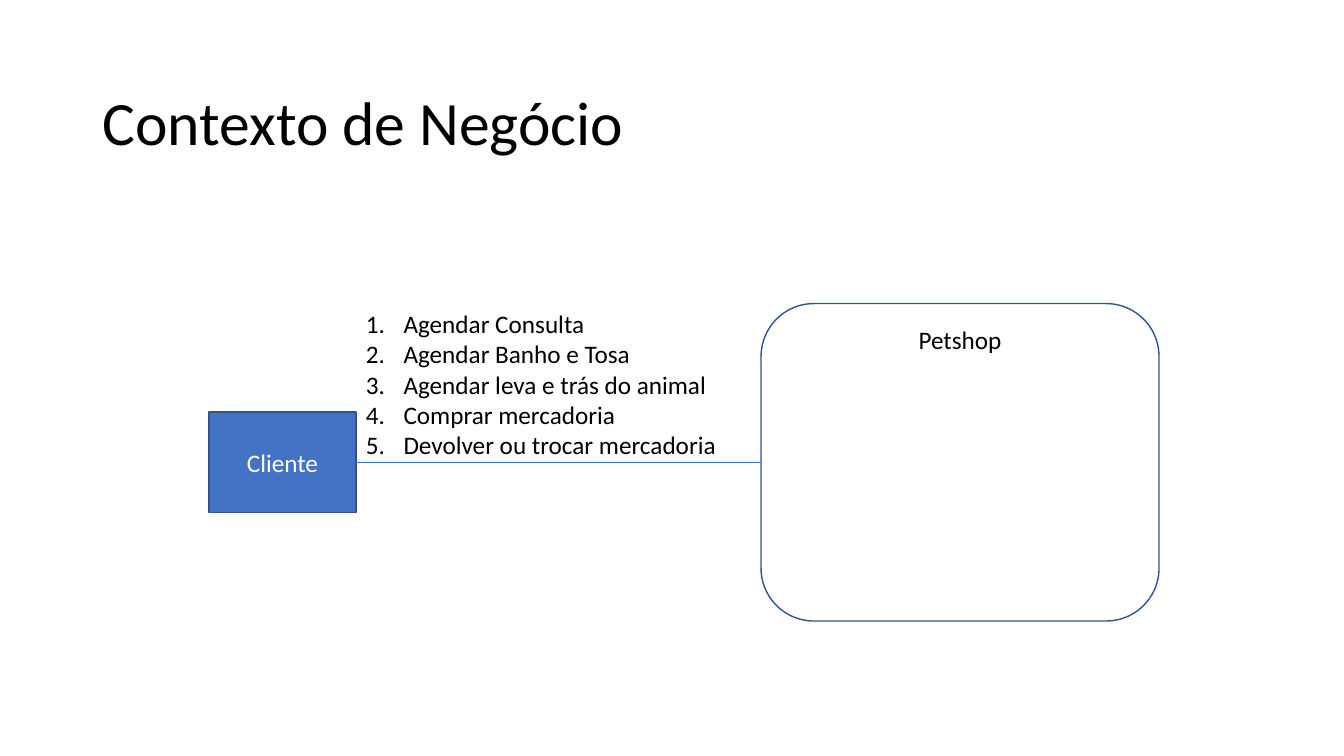
from lxml.etree import SubElement
from pptx import Presentation
from pptx.dml.color import RGBColor
from pptx.enum.shapes import MSO_CONNECTOR, MSO_SHAPE
from pptx.enum.text import MSO_ANCHOR, PP_ALIGN
from pptx.oxml.ns import qn
from pptx.util import Cm, Pt

COLORS = {
    "text": "000000",
    "light": "FFFFFF",
    "accent": "4472C4",
    "outline": "31538F",
}
SERVICES = [
    "Agendar Consulta",
    "Agendar Banho e Tosa",
    "Agendar leva e trás do animal",
    "Comprar mercadoria",
    "Devolver ou trocar mercadoria",
]


class ContextDiagram:
    font_name = "Calibri"
    body_size = 18
    title_size = 44
    number_indent = Cm(0.95)

    def __init__(self, slide):
        self.slide = slide

    def color(self, name):
        return RGBColor.from_string(COLORS[name])

    def format_text(self, paragraph, size, color="text"):
        for run in paragraph.runs:
            run.font.name = self.font_name
            run.font.size = Pt(size)
            run.font.color.rgb = self.color(color)

    def text_box(self, left, top, width, height, text, size, anchor=MSO_ANCHOR.TOP):
        box = self.slide.shapes.add_textbox(Cm(left), Cm(top), Cm(width), Cm(height))
        frame = box.text_frame
        frame.word_wrap = True
        frame.vertical_anchor = anchor
        frame.text = text
        for paragraph in frame.paragraphs:
            self.format_text(paragraph, size)
        return frame

    def title(self, left, top, width, height, text):
        frame = self.text_box(left, top, width, height, text, self.title_size, MSO_ANCHOR.MIDDLE)
        frame.paragraphs[0].line_spacing = 0.9

    def numbered_list(self, left, top, width, height, items):
        frame = self.text_box(left, top, width, height, "\n".join(items), self.body_size)
        for paragraph in frame.paragraphs:
            properties = paragraph._p.get_or_add_pPr()
            properties.set("marL", str(self.number_indent))
            properties.set("indent", str(-self.number_indent))
            SubElement(properties, qn("a:buFont"), typeface="+mj-lt")
            SubElement(properties, qn("a:buAutoNum"), type="arabicPeriod")

    def block(self, kind, left, top, width, height, text, text_color, anchor, fill=None):
        shape = self.slide.shapes.add_shape(kind, Cm(left), Cm(top), Cm(width), Cm(height))
        shape.shadow.inherit = False
        if fill:
            shape.fill.solid()
            shape.fill.fore_color.rgb = self.color(fill)
        else:
            shape.fill.background()
        shape.line.color.rgb = self.color("outline")
        shape.line.width = Pt(1)
        frame = shape.text_frame
        frame.word_wrap = True
        frame.vertical_anchor = anchor
        frame.text = text
        paragraph = frame.paragraphs[0]
        paragraph.alignment = PP_ALIGN.CENTER
        self.format_text(paragraph, self.body_size, text_color)
        return shape

    def link(self, start, end):
        """Join the right side of start to the left side of end."""
        connector = self.slide.shapes.add_connector(MSO_CONNECTOR.CURVE, 0, 0, 0, 0)
        connector.begin_connect(start, 3)
        connector.end_connect(end, 1)
        connector.line.color.rgb = self.color("accent")
        connector.line.width = Pt(0.75)
        SubElement(connector._element.spPr, qn("a:effectLst"))


def main():
    presentation = Presentation()
    presentation.slide_width = Cm(33.87)
    presentation.slide_height = Cm(19.05)
    slide = presentation.slides.add_slide(presentation.slide_layouts[6])

    diagram = ContextDiagram(slide)
    diagram.title(2.33, 1.33, 29.21, 3.68, "Contexto de Negócio")
    client = diagram.block(MSO_SHAPE.RECTANGLE, 5.27, 10.38, 3.7, 2.54,
                           "Cliente", "light", MSO_ANCHOR.MIDDLE, fill="accent")
    diagram.numbered_list(8.97, 7.65, 9.42, 4.11, SERVICES)
    petshop = diagram.block(MSO_SHAPE.ROUNDED_RECTANGLE, 19.18, 7.65, 10.03, 8,
                            "Petshop", "text", MSO_ANCHOR.TOP)
    diagram.link(client, petshop)

    presentation.save("out.pptx")


if __name__ == "__main__":
    main()
